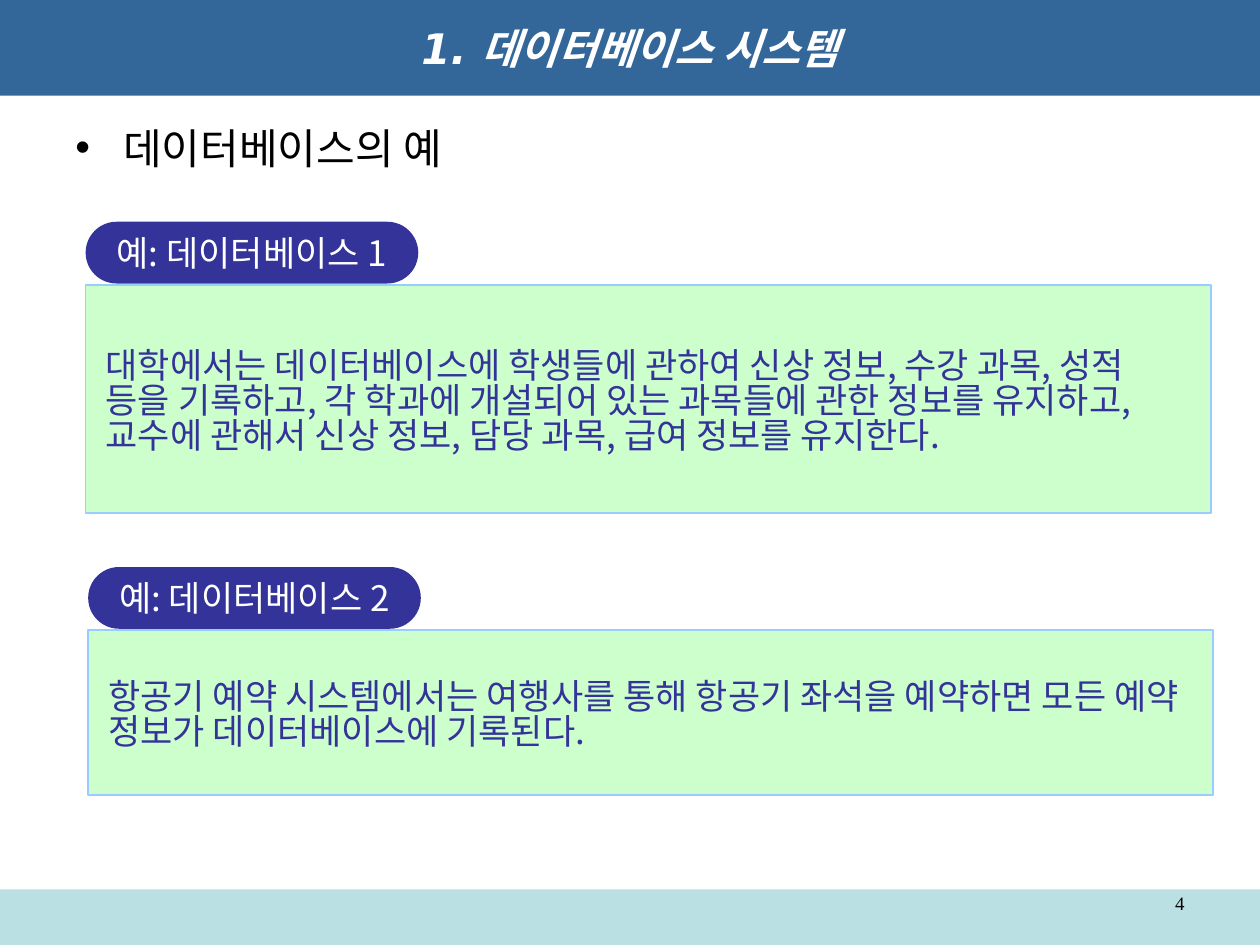
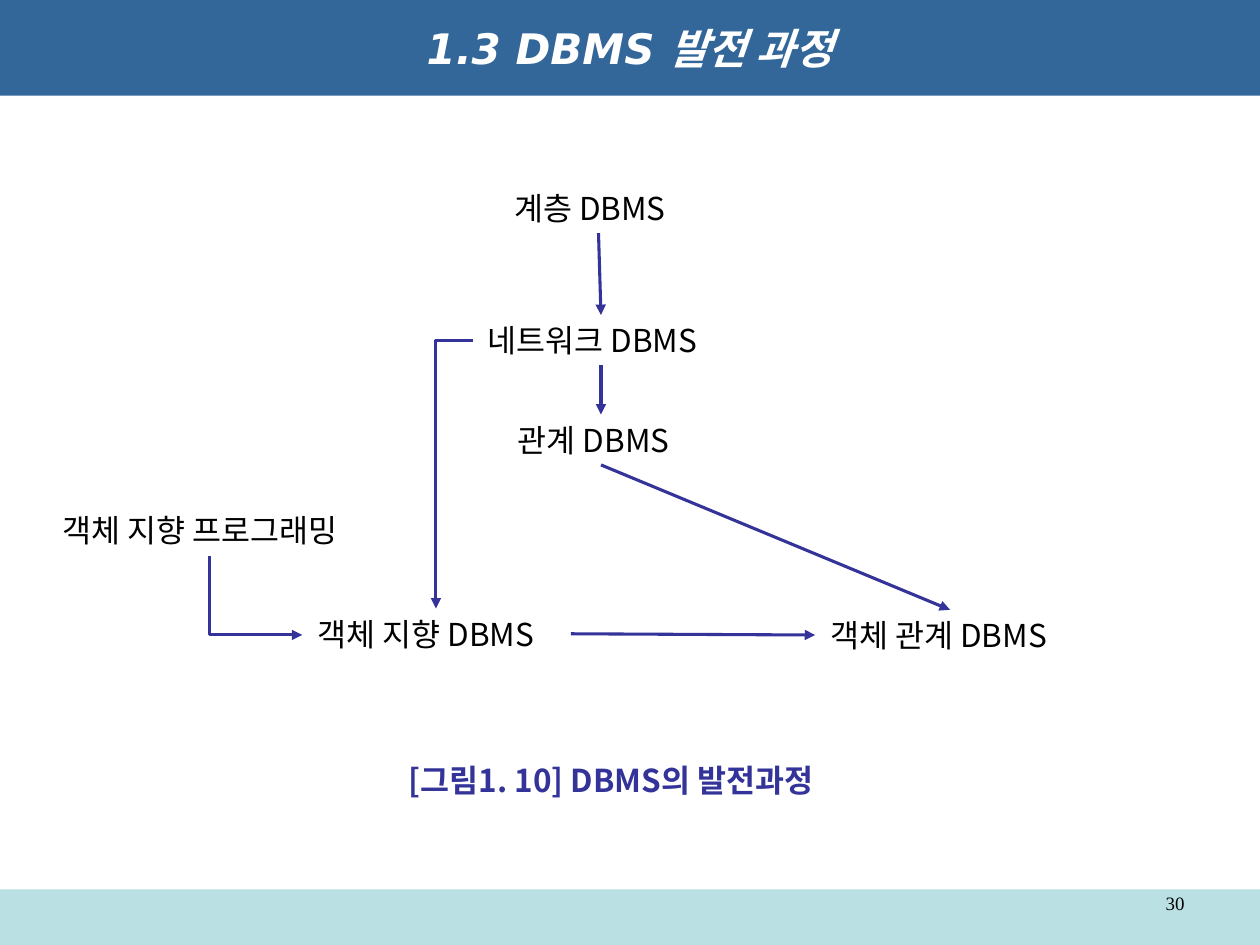
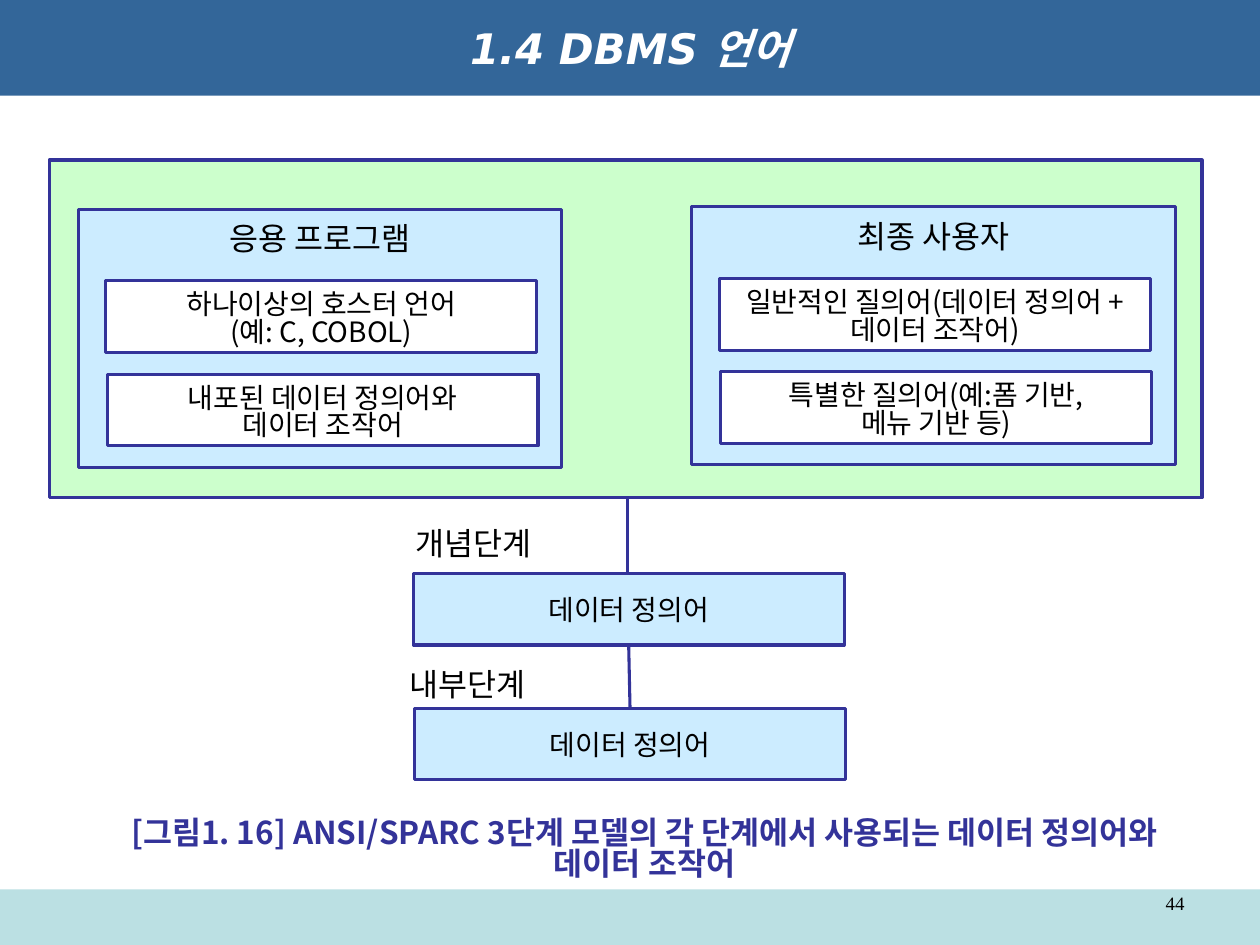
from lxml.etree import SubElement
from pptx import Presentation
from pptx.dml.color import RGBColor
from pptx.enum.shapes import MSO_CONNECTOR as Connector, MSO_SHAPE as Shape
from pptx.enum.text import MSO_ANCHOR as Anchor, PP_ALIGN as Align
from pptx.oxml.ns import qn
from pptx.util import Inches, Pt

BLACK, WHITE = "000000", "FFFFFF"
NAVY, HEADER, FOOTER = "333399", "336699", "BBE0E3"
GREEN, SKY, EDGE = "CCFFCC", "CCECFF", "99CCFF"
KR, JP = "Noto Sans CJK KR", "Noto Sans CJK JP"
TIGHT = 0.83
WIDE = (0.16, 0.05, 0.16, 0.05)
NORMAL = (0.1, 0.05, 0.1, 0.05)


def color(value):
    return RGBColor.from_string(value)


def inches(values):
    return [Inches(value) for value in values]


def write(shape, lines, size, font=JP, ink=BLACK, bold=False, italic=False,
          align=Align.CENTER, anchor=Anchor.MIDDLE, insets=NORMAL, wrap=True,
          spacing=None):
    frame = shape.text_frame
    frame.word_wrap = wrap
    frame.vertical_anchor = anchor
    left, top, right, bottom = insets
    if spacing == TIGHT:
        top += 0.25 * size / 72
    frame.margin_left, frame.margin_top, frame.margin_right, frame.margin_bottom = inches(
        (left, top, right, bottom))
    for index, line in enumerate(lines):
        paragraph = frame.add_paragraph() if index else frame.paragraphs[0]
        paragraph.alignment = align
        if spacing:
            paragraph.line_spacing = spacing
        run = paragraph.add_run()
        run.text = line
        run.font.size = Pt(size)
        run.font.name = font
        run.font.bold = bold
        run.font.italic = italic
        run.font.color.rgb = color(ink)
        east_asian = SubElement(run.font._element, qn("a:ea"))
        east_asian.set("typeface", font if font in (KR, JP) else KR)
    return frame


def add_box(slide, at, fill, line=None, width=1.75, preset=Shape.RECTANGLE):
    shape = slide.shapes.add_shape(preset, *inches(at))
    shape.shadow.inherit = False
    shape.fill.solid()
    shape.fill.fore_color.rgb = color(fill)
    if line:
        shape.line.color.rgb = color(line)
        shape.line.width = Pt(width)
    else:
        shape.line.fill.background()
    return shape


def add_text(slide, at, text, size, **style):
    return write(slide.shapes.add_textbox(*inches(at)), [text], size, **style)


def add_label(slide, at, text):
    add_text(slide, (*at, 0.4), text, 18, align=Align.LEFT, insets=WIDE, wrap=False)


def add_caption(slide, at, text, spacing=None):
    add_text(slide, at, text, 18, font=KR, ink=NAVY, bold=True, spacing=spacing)


def style_line(shape, arrow):
    shape.line.color.rgb = color(NAVY)
    shape.line.width = Pt(1.75)
    if arrow:
        outline = shape._element.spPr.find(qn("a:ln"))
        SubElement(outline, qn("a:tailEnd")).set("type", "triangle")


def add_line(slide, start, end, arrow=False):
    connector = slide.shapes.add_connector(Connector.STRAIGHT, *inches(start + end))
    style_line(connector, arrow)
    SubElement(connector._element.spPr, qn("a:effectLst"))


def add_elbow_arrow(slide, start, corner, end):
    builder = slide.shapes.build_freeform(*inches(start))
    builder.add_line_segments([inches(corner), inches(end)], close=False)
    shape = builder.convert_to_shape()
    shape.shadow.inherit = False
    shape.fill.background()
    style_line(shape, True)


def add_bullet(slide, at, text):
    frame = add_text(slide, at, text, 24, font="Arial", align=Align.LEFT,
                     anchor=Anchor.TOP, insets=(0.1, 0.02, 0.1, 0.05))
    properties = frame.paragraphs[0]._p.get_or_add_pPr()
    properties.set("marL", str(Inches(0.38)))
    properties.set("indent", str(-Inches(0.38)))
    SubElement(properties, qn("a:buFont")).set("typeface", "Arial")
    SubElement(properties, qn("a:buChar")).set("char", "•")


def add_slide(presentation, title, number):
    slide = presentation.slides.add_slide(presentation.slide_layouts[6])
    add_box(slide, (0, 7.06, 10, 0.44), FOOTER)
    header = add_box(slide, (0, 0, 10, 0.76), HEADER)
    write(header, [title], 24, font="DejaVu Sans", ink=WHITE, bold=True, italic=True)
    add_text(slide, (7.17, 7.06, 2.33, 0.29), number, 10.8, font="Times New Roman",
             align=Align.RIGHT, anchor=Anchor.TOP, spacing=0.8)
    return slide


def add_example(slide, left, top, height, heading, text):
    body = add_box(slide, (left, top, 8.93, height), GREEN, EDGE, 1)
    write(body, [text], 20, font=KR, ink=NAVY, align=Align.LEFT,
          insets=(0.16,) * 4, spacing=TIGHT)
    pill = add_box(slide, (left, top - 0.5, 2.64, 0.49), NAVY, preset=Shape.ROUNDED_RECTANGLE)
    pill.adjustments[0] = 0.5
    write(pill, [heading], 20, font=KR, ink=WHITE, wrap=False)


def add_language_box(slide, left, top, lines, fill):
    box = add_box(slide, (left, top, 3.42, 0.57), fill, NAVY)
    write(box, lines, 16, insets=WIDE, wrap=False, spacing=TIGHT if len(lines) > 1 else None)


def add_user_panel(slide, left, top, heading, languages):
    panel = add_box(slide, (left, top, 3.84, 2.05), SKY, NAVY)
    write(panel, [heading], 18, anchor=Anchor.TOP, insets=(0.16, 0.08, 0.16, 0.05), wrap=False)
    for index, lines in enumerate(languages):
        add_language_box(slide, left + 0.22 + 0.01 * index, top + 0.57 + 0.74 * index,
                         lines, WHITE)


def build_examples(presentation):
    slide = add_slide(presentation, "1. 데이터베이스 시스템", "4")
    add_bullet(slide, (0.5, 0.95, 9, 5.95), "데이터베이스의 예")
    add_example(slide, 0.68, 2.26, 1.81, "예: 데이터베이스 1",
                "대학에서는 데이터베이스에 학생들에 관하여 신상 정보, 수강 과목, 성적 등을 "
                "기록하고, 각 학과에 개설되어 있는 과목들에 관한 정보를 유지하고, 교수에 "
                "관해서 신상 정보, 담당 과목, 급여 정보를 유지한다.")
    add_example(slide, 0.7, 5, 1.31, "예: 데이터베이스 2",
                "항공기 예약 시스템에서는 여행사를 통해 항공기 좌석을 예약하면 모든 예약 "
                "정보가 데이터베이스에 기록된다.")


def build_history(presentation):
    slide = add_slide(presentation, "1.3 DBMS 발전 과정", "30")
    for at, text in (
        ((3.92, 1.45, 1.65), "계층 DBMS"),
        ((3.71, 2.5, 2.13), "네트워크 DBMS"),
        ((3.95, 3.29, 1.65), "관계 DBMS"),
        ((0.34, 4.01, 2.64), "객체 지향 프로그래밍"),
        ((2.36, 4.83, 2.21), "객체 지향 DBMS"),
        ((6.43, 4.84, 2.21), "객체 관계 DBMS"),
    ):
        add_label(slide, at, text)
    add_caption(slide, (2.79, 5.99, 4.12, 0.4), "[그림1. 10] DBMS의 발전과정")
    for start, end in (
        ((4.75, 1.85), (4.77, 2.5)),
        ((4.77, 2.9), (4.77, 3.29)),
        ((4.77, 3.69), (7.54, 4.84)),
        ((4.53, 5.03), (6.47, 5.04)),
    ):
        add_line(slide, start, end, arrow=True)
    add_elbow_arrow(slide, (3.75, 2.7), (3.46, 2.7), (3.46, 4.83))
    add_elbow_arrow(slide, (1.66, 4.41), (1.66, 5.04), (2.4, 5.04))


def build_languages(presentation):
    slide = add_slide(presentation, "1.4 DBMS 언어", "44")
    add_box(slide, (0.39, 1.27, 9.15, 2.68), GREEN, NAVY)
    add_user_panel(slide, 5.49, 1.64, "최종 사용자", (
        ("일반적인 질의어(데이터 정의어 +", "데이터 조작어)"),
        ("특별한 질의어(예:폼 기반,", "메뉴 기반 등)")))
    add_user_panel(slide, 0.62, 1.66, "응용 프로그램", (
        ("하나이상의 호스터 언어", "(예: C, COBOL)"),
        ("내포된 데이터 정의어와", "데이터 조작어")))
    for left, top in ((3.28, 4.55), (3.29, 5.62)):
        add_language_box(slide, left, top, ["데이터 정의어"], SKY)
    add_line(slide, (4.98, 3.94), (4.98, 4.54))
    add_line(slide, (4.99, 5.13), (5, 5.61))
    add_label(slide, (3.14, 4.11, 1.28), "개념단계")
    add_label(slide, (3.09, 5.23, 1.28), "내부단계")
    add_caption(slide, (0.63, 6.37, 8.97, 0.7),
                "[그림1. 16] ANSI/SPARC 3단계 모델의 각 단계에서 사용되는 "
                "데이터 정의어와 데이터 조작어", TIGHT)


def main():
    presentation = Presentation()
    presentation.slide_width = Inches(10)
    presentation.slide_height = Inches(7.5)
    build_examples(presentation)
    build_history(presentation)
    build_languages(presentation)
    presentation.save("out.pptx")


if __name__ == "__main__":
    main()
